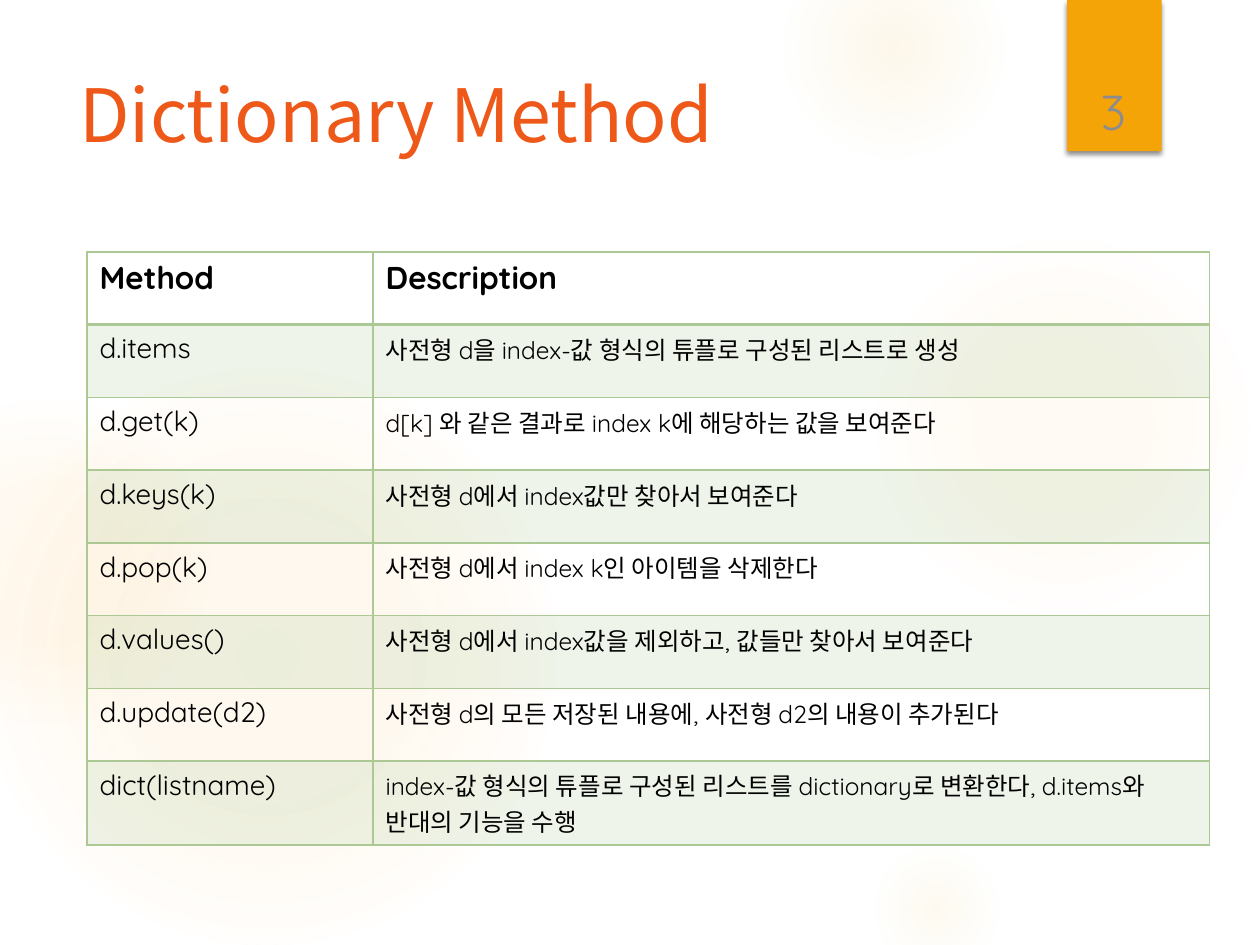
from dataclasses import dataclass
from typing import Any

from lxml import etree
from pptx import Presentation
from pptx.dml import color
from pptx.enum import shapes, text
from pptx.oxml import ns
from pptx.util import Inches, Pt


@dataclass(frozen=True)
class Theme:
    glow: str = "FAC96A"
    ribbon: str = "F5A408"
    title: str = "EE5818"
    number: str = "8C8C8C"
    ink: str = "000000"
    green: str = "ACC995"
    shadow: str = "000000"
    latin: str = "Quicksand"
    korean: str = "Noto Sans CJK KR"
    title_size: int = 42
    number_size: int = 28
    header_size: int = 18
    method_size: int = 16
    description_size: int = 14


@dataclass(frozen=True)
class Glow:
    left: float
    top: float
    size: float
    stops: tuple[tuple[int, int], ...]


@dataclass(frozen=True)
class Method:
    name: str
    description: str


THEME = Theme()

GLOWS = (
    Glow(6.89, 1.83, 3.08, ((0, 7), (36, 6), (69, 0))),
    Glow(6.22, -0.5, 1.75, ((0, 14), (36, 7), (73, 0))),
    Glow(6.89, 6.67, 1.08, ((0, 10), (31, 5), (66, 0))),
    Glow(-0.17, 2.92, 4.58, ((0, 11), (36, 10), (75, 0))),
    Glow(-0.92, 3.17, 2.58, ((0, 8), (36, 8), (72, 0))),
)

METHODS = (
    Method("d.items", "사전형 d을 index-값 형식의 튜플로 구성된 리스트로 생성"),
    Method("d.get(k)", "d[k] 와 같은 결과로 index k에 해당하는 값을 보여준다"),
    Method("d.keys(k)", "사전형 d에서 index값만 찾아서 보여준다"),
    Method("d.pop(k)", "사전형 d에서 index k인 아이템을 삭제한다"),
    Method("d.values()", "사전형 d에서 index값을 제외하고, 값들만 찾아서 보여준다"),
    Method("d.update(d2)", "사전형 d의 모든 저장된 내용에, 사전형 d2의 내용이 추가된다"),
    Method(
        "dict(listname)",
        "index-값 형식의 튜플로 구성된 리스트를 dictionary로 변환한다, d.items와 반대의 기능을 수행",
    ),
)


def add_element(parent: Any, tag: str, **values: Any) -> Any:
    attributes = {key: str(value) for key, value in values.items()}
    return etree.SubElement(parent, ns.qn(tag), attributes)


def add_color(parent: Any, value: str, opacity: int) -> None:
    shade = add_element(parent, "a:srgbClr", val=value)
    add_element(shade, "a:alpha", val=opacity * 1000)


def write(frame: Any, words: str, size: int, ink: str, latin: str = THEME.latin,
          bold: bool = False, align: Any = text.PP_ALIGN.LEFT) -> None:
    para = frame.paragraphs[0]
    para.alignment = align
    span = para.add_run()
    span.text = words
    for key, value in {"size": Pt(size), "name": latin, "bold": bold}.items():
        setattr(span.font, key, value)
    span.font.color.rgb = color.RGBColor.from_string(ink)
    add_element(span.font._element, "a:ea", typeface=THEME.korean)


def add_glow(page: Any, glow: Glow) -> None:
    size = Inches(glow.size)
    circle = page.shapes.add_shape(
        shapes.MSO_SHAPE.OVAL, Inches(glow.left), Inches(glow.top), size, size
    )
    circle.shadow.inherit = False
    circle.line.fill.background()
    circle.fill.background()
    properties = circle._element.spPr
    gradient = etree.Element(ns.qn("a:gradFill"), rotWithShape="1")
    stops = add_element(gradient, "a:gsLst")
    for position, opacity in glow.stops:
        add_color(add_element(stops, "a:gs", pos=position * 1000), THEME.glow, opacity)
    center = add_element(gradient, "a:path", path="circle")
    add_element(center, "a:fillToRect", l=50000, t=50000, r=50000, b=50000)
    properties.replace(properties.find(ns.qn("a:noFill")), gradient)


def add_ribbon(page: Any) -> None:
    ribbon = page.shapes.add_shape(
        shapes.MSO_SHAPE.RECTANGLE, Inches(8.47), 0, Inches(0.75), Inches(1.2)
    )
    ribbon.shadow.inherit = False
    ribbon.fill.solid()
    ribbon.fill.fore_color.rgb = color.RGBColor.from_string(THEME.ribbon)
    ribbon.line.fill.background()
    effects = ribbon._element.spPr.find(ns.qn("a:effectLst"))
    shadow = add_element(effects, "a:outerShdw", blurRad=Pt(3), dist=Pt(2), dir=90 * 60000)
    add_color(shadow, THEME.shadow, 45)


def add_title(page: Any) -> None:
    title = page.shapes.title
    place = {"left": 0.53, "top": 0.5, "width": 7.72, "height": 1.53}
    for key, value in place.items():
        setattr(title, key, Inches(value))
    title.text_frame.vertical_anchor = text.MSO_ANCHOR.TOP
    write(title.text_frame, "Dictionary Method", THEME.title_size, THEME.title, THEME.korean)


def add_number(page: Any) -> None:
    box = page.shapes.add_textbox(Inches(8.49), Inches(0.32), Inches(0.69), Inches(0.84))
    frame = box.text_frame
    for key, value in {"word_wrap": True, "vertical_anchor": text.MSO_ANCHOR.BOTTOM}.items():
        setattr(frame, key, value)
    write(frame, "3", THEME.number_size, THEME.number, align=text.PP_ALIGN.CENTER)


def style_cell(cell: Any, row: int) -> None:
    properties = cell._tc.get_or_add_tcPr()
    widths = {"L": 1, "R": 1, "T": 2 if row == 1 else 1, "B": 2 if row == 0 else 1}
    for side, width in widths.items():
        border = add_element(properties, f"a:ln{side}", w=Pt(width))
        add_color(add_element(border, "a:solidFill"), THEME.green, 100)
    if row % 2:
        cell.fill.solid()
        cell.fill.fore_color.rgb = color.RGBColor.from_string(THEME.green)
        shade = properties.find(f"{ns.qn('a:solidFill')}/{ns.qn('a:srgbClr')}")
        add_element(shade, "a:alpha", val=20000)
    else:
        cell.fill.background()


def add_methods(page: Any) -> None:
    entries = (Method("Method", "Description"), *METHODS)
    table = page.shapes.add_table(
        len(entries), 2, Inches(0.69), Inches(2), Inches(8.92), Inches(4.62)
    ).table
    for key in ("first_row", "horz_banding"):
        setattr(table, key, False)
    for column, width in zip(table.columns, (2.27, 6.64)):
        column.width = Inches(width)
    for row, entry in enumerate(entries):
        header = row == 0
        sizes = (THEME.method_size, THEME.description_size)
        if header:
            sizes = (THEME.header_size, THEME.header_size)
        for column, words in enumerate((entry.name, entry.description)):
            cell = table.cell(row, column)
            style_cell(cell, row)
            write(cell.text_frame, words, sizes[column], THEME.ink, bold=header)


def main() -> None:
    deck = Presentation()
    deck.slide_width, deck.slide_height = Inches(10), Inches(7.5)
    page = deck.slides.add_slide(deck.slide_layouts[5])
    for glow in GLOWS:
        add_glow(page, glow)
    add_ribbon(page)
    add_title(page)
    add_methods(page)
    add_number(page)
    deck.save("out.pptx")


if __name__ == "__main__":
    main()
